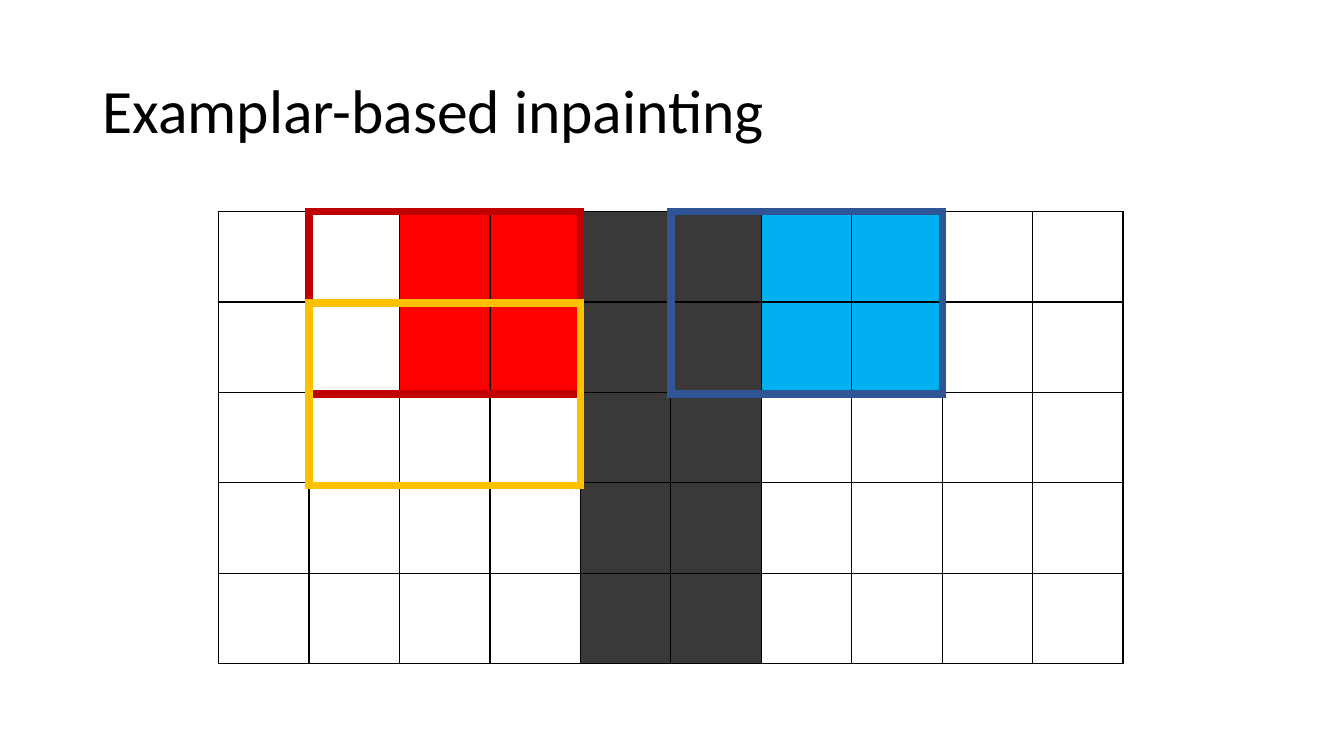
"""Build a slide that shows examplar-based inpainting on a pixel grid."""
from dataclasses import dataclass

from lxml.etree import SubElement
from pptx import Presentation
from pptx.dml.color import RGBColor as RGB
from pptx.enum.text import MSO_ANCHOR as Anchor, PP_ALIGN as Align
from pptx.oxml.ns import qn
from pptx.util import Cm, Pt


@dataclass(frozen=True)
class Theme:
    """Colours, type and line widths of the slide."""
    font: str = "Calibri"
    title_size: int = 44
    ink: str = "000000"
    known: str = "FF0000"
    hole: str = "3B3838"
    match: str = "00B0F0"
    red_frame: str = "C00000"
    blue_frame: str = "2F5597"
    yellow_frame: str = "FFC000"
    grid_line: int = 1
    frame_line: int = 6


THEME = Theme()
LEFT, TOP = 5.51, 5.33
CELL = 2.28
PATCH_STEP = 2.3
ROWS, COLS = 5, 10


def apply(obj, formats):
    """Set each attribute of an object from a dict."""
    for name, value in formats.items():
        setattr(obj, name, value)


def set_borders(cell, color, width):
    """Draw the four edges of a cell in one colour."""
    tc_pr = cell._tc.get_or_add_tcPr()
    for i, edge in enumerate(("a:lnL", "a:lnR", "a:lnT", "a:lnB")):
        ln = SubElement(tc_pr, qn(edge), w=str(Pt(width)))
        fill = SubElement(ln, qn("a:solidFill"))
        SubElement(fill, qn("a:srgbClr"), val=color)
        tc_pr.insert(i, ln)


def add_grid(s, box, rows, cols, line, width, fills=None):
    """Add a plain table whose cells are filled by (row, column)."""
    table = s.shapes.add_table(rows, cols, *(Cm(v) for v in box)).table
    apply(table, {"first_row": False, "horz_banding": False})
    for column in table.columns:
        column.width = Cm(box[2] / cols)
    for row in table.rows:
        row.height = Cm(box[3] / rows)
    for r in range(rows):
        for c in range(cols):
            cell = table.cell(r, c)
            color = (fills or {}).get((r, c))
            if color:
                cell.fill.solid()
                cell.fill.fore_color.rgb = RGB.from_string(color)
            else:
                cell.fill.background()
            set_borders(cell, line, width)


def add_patch(s, row, col, color):
    """Frame a patch, three columns by two rows, from a grid position."""
    box = (LEFT + col * CELL, TOP + row * PATCH_STEP, 3 * CELL, 2 * PATCH_STEP)
    add_grid(s, box, 1, 1, color, THEME.frame_line)


def set_title(s, text):
    """Place and format the title."""
    title = s.shapes.title
    apply(title, {"left": Cm(2.33), "top": Cm(1.01),
                  "width": Cm(29.21), "height": Cm(3.68)})
    tf = title.text_frame
    apply(tf, {"text": text, "vertical_anchor": Anchor.MIDDLE, "word_wrap": True})
    p = tf.paragraphs[0]
    apply(p, {"alignment": Align.LEFT, "line_spacing": 0.9})
    font = p.runs[0].font
    apply(font, {"name": THEME.font, "size": Pt(THEME.title_size)})
    font.color.rgb = RGB.from_string(THEME.ink)


def main():
    """Build and save the slide."""
    prs = Presentation()
    apply(prs, {"slide_width": Cm(33.87), "slide_height": Cm(19.05)})
    s = prs.slides.add_slide(prs.slide_layouts[5])
    set_title(s, "Examplar-based inpainting")

    regions = ((THEME.known, 2, 2), (THEME.hole, 4, ROWS), (THEME.match, 6, 2))
    fills = {(r, c): color for color, first, depth in regions
             for r in range(depth) for c in (first, first + 1)}
    add_grid(s, (LEFT, TOP, COLS * CELL, ROWS * CELL), ROWS, COLS,
             THEME.ink, THEME.grid_line, fills)

    for row, col, color in ((0, 1, THEME.red_frame), (0, 5, THEME.blue_frame),
                            (1, 1, THEME.yellow_frame)):
        add_patch(s, row, col, color)
    prs.save("out.pptx")


if __name__ == "__main__":
    main()
